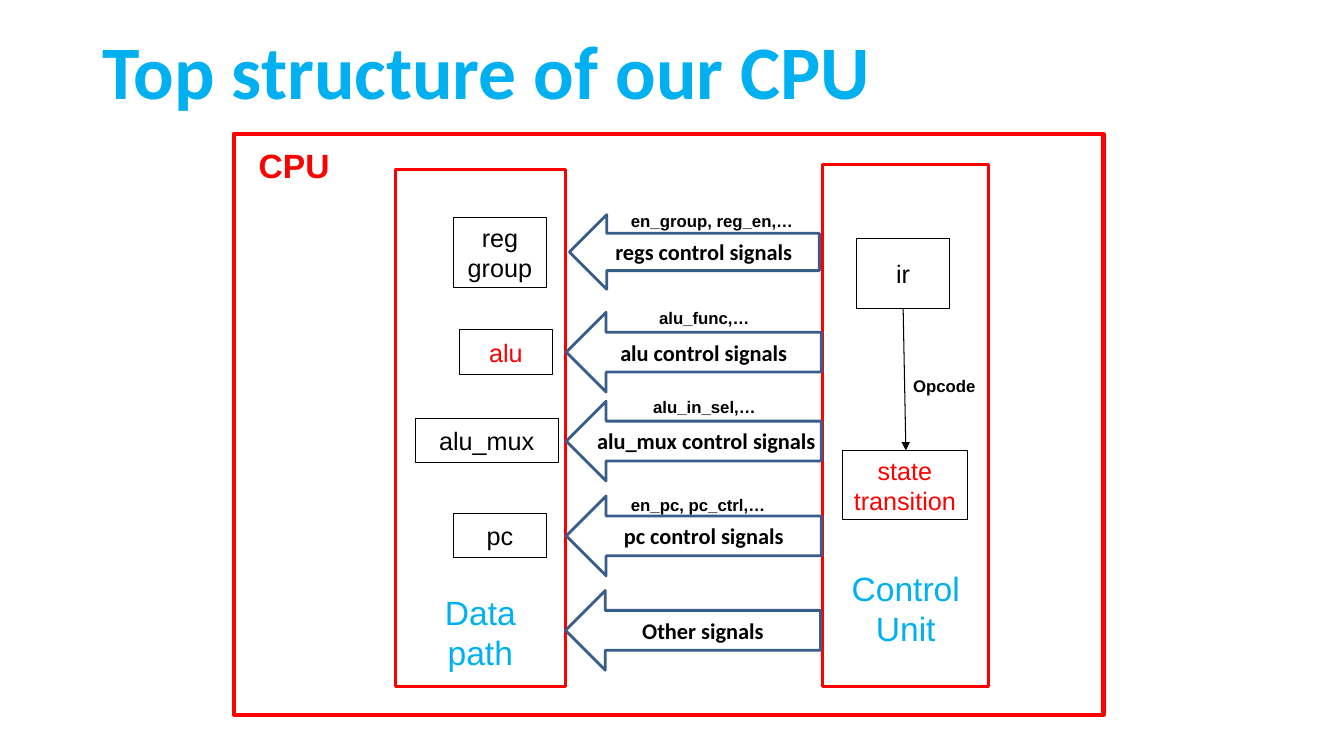
from dataclasses import dataclass

from lxml.etree import SubElement
from pptx import Presentation
from pptx.dml.color import RGBColor as Rgb
from pptx.enum.shapes import MSO_CONNECTOR as Connector, MSO_SHAPE as Preset
from pptx.enum.text import MSO_ANCHOR as Anchor, PP_ALIGN as Align
from pptx.oxml.ns import qn
from pptx.util import Cm, Pt


@dataclass(frozen=True)
class Theme:
    """Colours, fonts and type sizes of the slide."""
    black: Rgb = Rgb(0, 0, 0)
    white: Rgb = Rgb(255, 255, 255)
    red: Rgb = Rgb(255, 0, 0)
    sky: Rgb = Rgb(0x00, 0xB0, 0xF0)
    navy: Rgb = Rgb(0x38, 0x5D, 0x8A)
    sans: str = "Arial"
    heading: str = "Calibri"
    title: int = 54
    panel: int = 24
    block: int = 18
    bus: int = 16
    signal: int = 12


THEME = Theme()

BLOCKS = [
    ("reg group", (11.43, 5.49, 2.34, 1.75), THEME.black),
    ("alu", (11.58, 8.31, 2.34, 1.12), THEME.red),
    ("alu_mux", (10.46, 10.54, 3.61, 1.12), THEME.black),
    ("pc", (11.43, 12.93, 2.34, 1.12), THEME.black),
    ("ir", (21.59, 6.02, 2.34, 1.75), THEME.black),
    ("state\ntransition", (21.23, 11.35, 3.15, 1.75), THEME.red),
]

BUSES = [
    ("regs control signals", (14.35, 5.41, 6.3, 1.88), 0.25),
    ("alu control signals", (14.27, 7.87, 6.43, 2.01), 0.25),
    ("alu_mux control signals", (14.27, 10.11, 6.43, 2.01), 0),
    ("pc control signals", (14.27, 12.5, 6.43, 2.01), 0.25),
    ("Other signals", (14.25, 14.88, 6.43, 2.01), 0.25),
]

SIGNALS = [
    ("en_group, reg_en,…", (15.65, 5.18, 5, 0.76)),
    ("alu_func,…", (16.36, 7.62, 4.37, 0.76)),
    ("alu_in_sel,…", (16.21, 9.88, 4.42, 0.76)),
    ("en_pc, pc_ctrl,…", (15.65, 12.34, 5, 0.76)),
    ("Opcode", (22.76, 9.35, 2.31, 0.76)),
]


def write(frame, text, size, color, font=THEME.sans, bold=False,
          align=Align.CENTER, anchor=Anchor.MIDDLE):
    """Fill a text frame with one paragraph per line of text."""
    frame.word_wrap = True
    frame.vertical_anchor = anchor
    for index, line in enumerate(text.split("\n")):
        paragraph = frame.add_paragraph() if index else frame.paragraphs[0]
        paragraph.alignment = align
        run = paragraph.add_run()
        run.text = line
        run.font.size = Pt(size)
        run.font.name = font
        run.font.bold = bold
        run.font.color.rgb = color


def add_outline(slide, preset, box, color, width, fill=None):
    """Add a preset shape with a coloured outline and an optional fill."""
    shape = slide.shapes.add_shape(preset, *map(Cm, box))
    shape.shadow.inherit = False
    if fill is None:
        shape.fill.background()
    else:
        shape.fill.solid()
        shape.fill.fore_color.rgb = fill
    shape.line.color.rgb = color
    shape.line.width = Pt(width)
    return shape


def add_label(slide, text, box, size, color, font=THEME.sans, anchor=Anchor.TOP):
    """Add a bold, left-aligned text box and return its frame."""
    frame = slide.shapes.add_textbox(*map(Cm, box)).text_frame
    write(frame, text, size, color, font, True, Align.LEFT, anchor)
    return frame


def add_panel(slide, text, box, bottom):
    """Add a red unit panel with its name near the bottom edge."""
    frame = add_outline(slide, Preset.RECTANGLE, box, THEME.red, 2).text_frame
    frame.margin_bottom = Cm(bottom)
    write(frame, text, THEME.panel, THEME.sky, anchor=Anchor.BOTTOM)


def add_block(slide, text, box, color):
    """Add a white component block."""
    block = add_outline(slide, Preset.RECTANGLE, box, THEME.black, 0.75, THEME.white)
    write(block.text_frame, text, THEME.block, color)


def add_bus(slide, text, box, margin):
    """Add a left-pointing arrow for a group of control signals."""
    bus = add_outline(slide, Preset.LEFT_ARROW, box, THEME.navy, 2, THEME.white)
    bus.text_frame.margin_left = Cm(margin or 0.13)
    bus.text_frame.margin_right = Cm(margin)
    write(bus.text_frame, text, THEME.bus, THEME.black, THEME.heading, True)


def add_arrow(slide, start, end):
    """Add a thin black connector with a triangle at its end."""
    arrow = slide.shapes.add_connector(Connector.STRAIGHT, *map(Cm, start + end))
    arrow.line.color.rgb = THEME.black
    arrow.line.width = Pt(0.75)
    SubElement(arrow.line._get_or_add_ln(), qn("a:tailEnd"), type="triangle")
    SubElement(arrow._element.spPr, qn("a:effectLst"))


def main():
    """Build the CPU structure slide and save it."""
    deck = Presentation()
    deck.slide_width, deck.slide_height = Cm(33.87), Cm(19.05)
    slide = deck.slides.add_slide(deck.slide_layouts[6])

    title = add_label(slide, "Top structure of our CPU", (2.34, 0.05, 29.21, 3.68),
                      THEME.title, THEME.sky, THEME.heading, Anchor.MIDDLE)
    title.paragraphs[0].line_spacing = 0.9

    add_panel(slide, "Data\npath", (9.96, 4.27, 4.29, 13.03), 0.36)
    add_panel(slide, "Control\nUnit", (20.73, 4.14, 4.19, 13.16), 0.96)
    add_outline(slide, Preset.RECTANGLE, (5.89, 3.38, 21.92, 14.63), THEME.red, 3)
    add_label(slide, "CPU", (6.27, 3.53, 2.44, 1.27), THEME.panel, THEME.red)

    for text, box, color in BLOCKS:
        add_block(slide, text, box, color)
    for text, box, margin in BUSES:
        add_bus(slide, text, box, margin)
    add_arrow(slide, (22.76, 7.77), (22.83, 11.35))
    for text, box in SIGNALS:
        add_label(slide, text, box, THEME.signal, THEME.black)

    deck.save("out.pptx")


if __name__ == "__main__":
    main()
